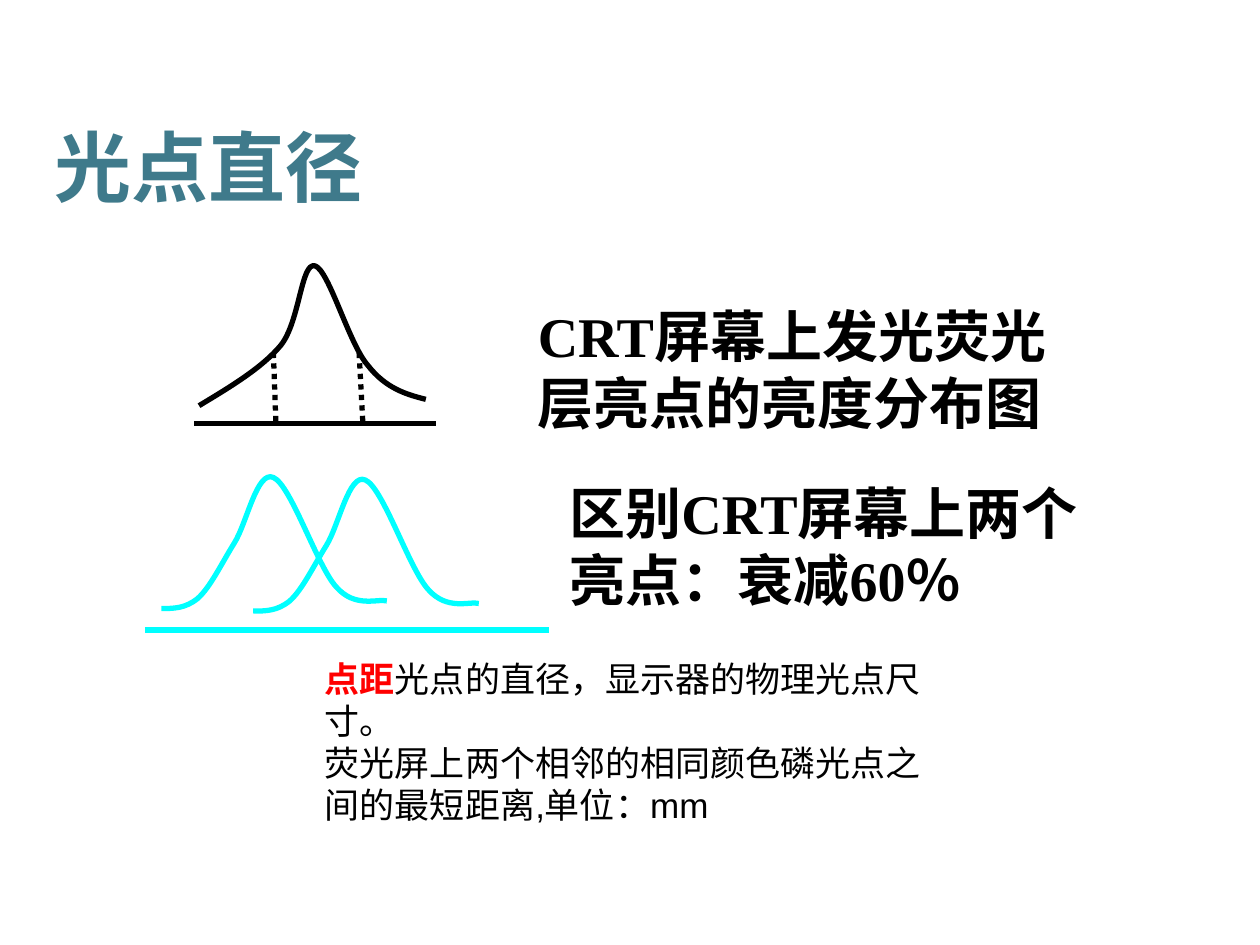
from lxml import etree
from pptx import Presentation
from pptx import util as u
from pptx.dml.color import RGBColor
from pptx.enum import dml, shapes, text
from pptx.oxml.ns import qn

# Content
CJK, SERIF, SANS = "Noto Sans CJK SC", "Times New Roman", "Arial"
BLACK, CYAN, RED, TEAL = "000000", "00FFFF", "FF0000", "3F7A8B"
HEAD = dict(name=CJK, size=u.Pt(44), bold=True, color=TEAL)
LABEL = dict(name=SERIF, size=u.Pt(32), bold=True, color=BLACK)
NOTE = dict(name=SANS, size=u.Pt(20), bold=False, color=BLACK)
TERM = dict(NOTE, bold=True, color=RED)

TITLE = [[("光点直径", HEAD)]]
SPOT_TEXT = [[("CRT屏幕上发光荧光层亮点的亮度分布图", LABEL)]]
PAIR_TEXT = [[("区别CRT屏幕上两个亮点：衰减60％", LABEL)]]
PITCH_TEXT = [
    [("点距", TERM), ("光点的直径，显示器的物理光点尺寸。", NOTE)],
    [("荧光屏上两个相邻的相同颜色磷光点之间的最短距离,单位：mm", NOTE)],
]

# Bell curves: a start point, then cubic Bezier points three at a time
SPOT_CURVE = [(1.58, 3.22), (1.83, 3.07), (2.08, 2.92), (2.23, 2.74),
              (2.38, 2.55), (2.39, 2.08), (2.5, 2.11),
              (2.61, 2.14), (2.77, 2.73), (2.92, 2.9),
              (3.06, 3.08), (3.22, 3.13), (3.38, 3.17)]
PAIR_CURVE = [(1.28, 4.83), (1.38, 4.83), (1.47, 4.83), (1.57, 4.75),
              (1.67, 4.66), (1.76, 4.47), (1.86, 4.31),
              (1.96, 4.15), (2.04, 3.73), (2.17, 3.79),
              (2.31, 3.85), (2.52, 4.5), (2.67, 4.66),
              (2.82, 4.83), (3, 4.75), (3.07, 4.77)]
PAIR_SHIFT = (0.73, 0.02)
SPOT_EDGES = [(2.17, 2.19), (2.85, 2.88)]


def rgb(value):
    return RGBColor.from_string(value)


def write(tf, paragraphs):
    tf.word_wrap = True
    tf.auto_size = text.MSO_AUTO_SIZE.SHAPE_TO_FIT_TEXT
    for i, runs in enumerate(paragraphs):
        p = tf.paragraphs[0] if i == 0 else tf.add_paragraph()
        p.alignment = text.PP_ALIGN.LEFT
        for words, style in runs:
            r = p.add_run()
            r.text = words
            for key, value in style.items():
                if key == "color":
                    r.font.color.rgb = rgb(value)
                else:
                    setattr(r.font, key, value)
            latin = r.font._element.find(qn("a:latin"))
            latin.addnext(etree.Element(qn("a:ea"), typeface=CJK))


def textbox(parent, box, paragraphs):
    sp = parent.shapes.add_textbox(*map(u.Inches, box))
    write(sp.text_frame, paragraphs)


def stroke(sp, color):
    sp.line.color.rgb = rgb(color)
    sp.line.width = u.Pt(3)


def line(parent, start, end, color, dotted=False):
    sp = parent.shapes.add_connector(shapes.MSO_CONNECTOR.STRAIGHT,
                                     *map(u.Inches, start + end))
    stroke(sp, color)
    if dotted:
        sp.line.dash_style = dml.MSO_LINE.ROUND_DOT
    etree.SubElement(sp._element.spPr, qn("a:effectLst"))


def curve(parent, points, color, shift=(0, 0)):
    dots = [(u.Inches(x + shift[0]), u.Inches(y + shift[1])) for x, y in points]
    builder = parent.shapes.build_freeform(*dots[0])
    builder.add_line_segments(dots[1:], close=False)
    sp = builder.convert_to_shape()
    # Turn each three straight segments into one cubic Bezier
    segments = list(sp._element.iter(qn("a:lnTo")))
    for i in range(0, len(segments), 3):
        bezier = etree.Element(qn("a:cubicBezTo"))
        segments[i].addprevious(bezier)
        for segment in segments[i:i + 3]:
            bezier.append(segment[0])
            segment.getparent().remove(segment)
    sp.fill.background()
    sp.shadow.inherit = False
    stroke(sp, color)


prs = Presentation()
prs.slide_width, prs.slide_height = u.Inches(10), u.Inches(7.5)
s = prs.slides.add_slide(prs.slide_layouts[5])

# Title
title = s.shapes.title
title.left, title.top, title.width, title.height = map(u.Inches, (0.33, 0.75, 9.34, 0.99))
write(title.text_frame, TITLE)
title.text_frame.vertical_anchor = text.MSO_ANCHOR.MIDDLE
title.text_frame.paragraphs[0].line_spacing = 1.2

# Brightness of a single spot
spot = s.shapes.add_group_shape()
line(spot, (1.54, 3.36), (3.46, 3.36), BLACK)
curve(spot, SPOT_CURVE, BLACK)
for top_x, foot_x in SPOT_EDGES:
    line(spot, (top_x, 2.8), (foot_x, 3.36), BLACK, dotted=True)
textbox(spot, (4.17, 2.34, 4.5, 1.17), SPOT_TEXT)

# Two overlapping spots
pair = s.shapes.add_group_shape()
line(pair, (1.15, 5), (4.36, 5), CYAN)
for shift in ((0, 0), PAIR_SHIFT):
    curve(pair, PAIR_CURVE, CYAN, shift)
textbox(s, (4.42, 3.75, 4.25, 1.17), PAIR_TEXT)

# Dot pitch
textbox(s, (2.48, 5.17, 5, 1.45), PITCH_TEXT)

prs.save("out.pptx")
